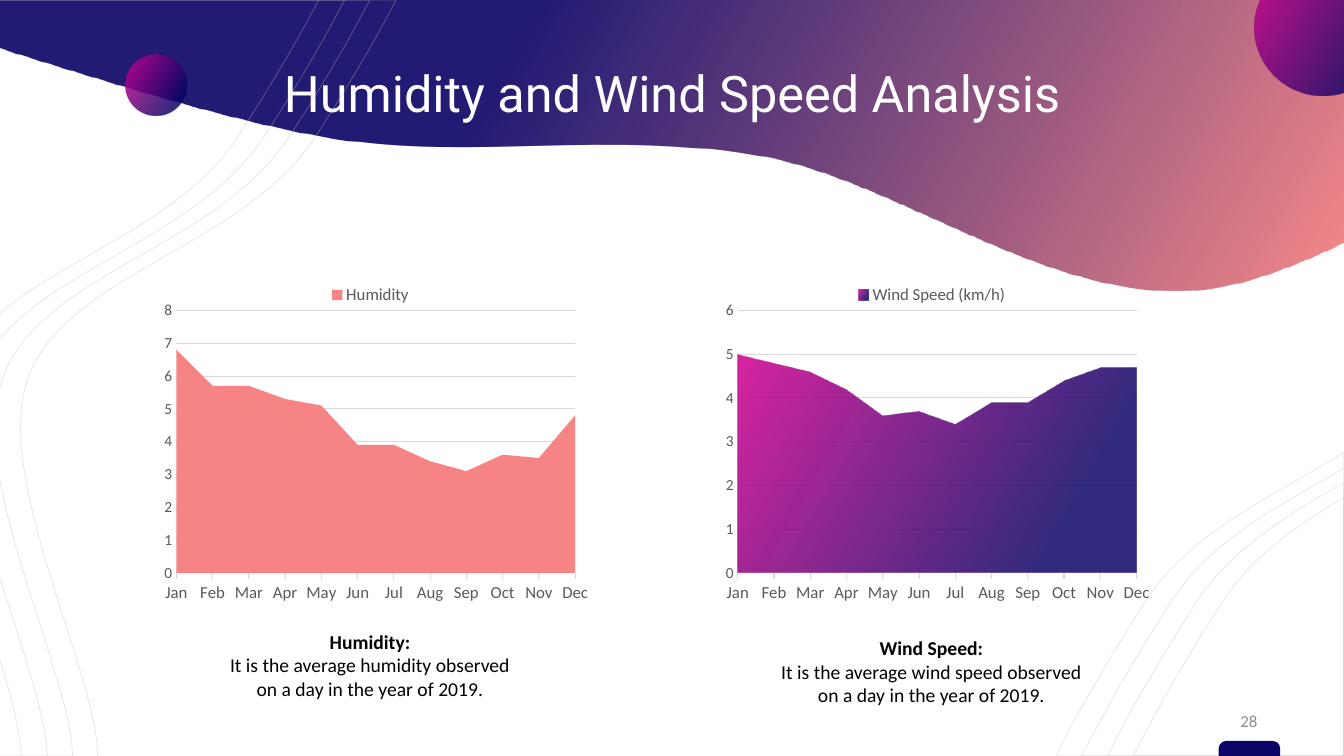
from lxml.etree import SubElement
from pptx import Presentation
from pptx.chart.data import CategoryChartData
from pptx.dml.color import RGBColor
from pptx.enum.chart import XL_CHART_TYPE, XL_LEGEND_POSITION, XL_TICK_MARK
from pptx.enum.shapes import MSO_SHAPE
from pptx.enum.text import MSO_ANCHOR, PP_ALIGN
from pptx.oxml.ns import qn
from pptx.util import Pt

WHITE = RGBColor(0xFF, 0xFF, 0xFF)
BLACK = RGBColor(0, 0, 0)
NAVY = RGBColor(0x0C, 0x04, 0x66)
MAGENTA = RGBColor(0xD3, 0x03, 0x92)
CORAL = RGBColor(0xF7, 0x84, 0x84)
WAVE_GREY = RGBColor(0xBF, 0xBF, 0xBF)
GRID_GREY = RGBColor(0xD9, 0xD9, 0xD9)
AXIS_GREY = RGBColor(0x59, 0x59, 0x59)
NUMBER_GREY = RGBColor(0x8C, 0x8C, 0x8C)

BANNER_STOPS = [(0.36, NAVY, 90), (1, CORAL, 95)]
ACCENT_STOPS = [(0, MAGENTA, 86), (0.81, NAVY, 84)]
MONTHS = "Jan Feb Mar Apr May Jun Jul Aug Sep Oct Nov Dec".split()
HUMIDITY = [6.8, 5.7, 5.7, 5.3, 5.1, 3.9, 3.9, 3.4, 3.1, 3.6, 3.5, 4.8]
WIND_SPEED = [5, 4.8, 4.6, 4.2, 3.6, 3.7, 3.4, 3.9, 3.9, 4.4, 4.7, 4.7]
NO_VALUES = [None] * len(MONTHS)

POINTS_PER_UNIT = 72
BANNER = ("M 0 0 L 13.33 0 L 13.33 2.4 L 13.19 2.47 C 12.81 2.64 12.47 2.77 12.17 2.83 "
          "C 10.57 3.17 8.97 1.78 7.5 1.54 C 6.03 1.3 4.67 1.58 3.33 1.38 "
          "C 2.33 1.22 1.02 0.8 0.15 0.53 L 0 0.48")
RIGHT_WAVES = [
    "M 13.33 4.79 L 13.33 7.5 L 10.99 7.5 L 11.07 7.33 "
    "C 11.35 6.8 11.65 6.32 11.87 5.97 C 12.15 5.54 12.57 5.25 13 4.98",
    "M 13.33 4.94 L 13.33 7.5 L 11.24 7.5 L 11.33 7.33 "
    "C 11.61 6.8 11.9 6.32 12.13 5.97 C 12.4 5.54 12.82 5.25 13.26 4.98",
    "M 13.33 4.49 L 13.33 7.5 L 10.48 7.5 L 10.56 7.33 "
    "C 10.84 6.8 11.14 6.32 11.36 5.97 C 11.77 5.33 12.51 4.98 13.15 4.6",
    "M 13.35 4.63 L 13.35 7.5 L 10.73 7.5 L 10.82 7.33 "
    "C 11.1 6.8 11.39 6.32 11.62 5.97 C 11.98 5.4 12.61 5.06 13.19 4.73",
]
LEFT_WAVES = [
    "M -0.02 5.68 L 0.15 6.2 C 0.31 6.71 0.46 7.18 0.47 7.49 L 0.46 7.52 L -0.02 7.52 "
    "M -0.02 0 L 3.42 0 L 3.22 0.37 C 3.01 0.74 2.8 1.08 2.63 1.34 "
    "C 2.04 2.26 0.76 2.59 0.1 3.25 L -0.02 3.38",
    "M -0.03 6.44 L -0.03 6.45 C 0.1 6.86 0.2 7.23 0.21 7.49 L 0.21 7.52 L -0.03 7.52 "
    "M -0.03 -0.01 L 3.17 -0.01 L 2.96 0.37 C 2.75 0.74 2.54 1.08 2.37 1.34 "
    "C 1.83 2.19 0.69 2.53 0.01 3.1 L -0.03 3.14",
    "M -0.02 0 L 3.93 0 L 3.73 0.37 C 3.52 0.74 3.31 1.08 3.14 1.34 "
    "C 2.41 2.47 0.64 2.71 0.27 3.77 C -0.06 4.74 0.95 6.65 0.97 7.49 L 0.97 7.52 L -0.02 7.52",
    "M -0.03 4.49 L -0.02 4.64 C 0.13 5.63 0.7 6.86 0.72 7.49 L 0.72 7.5 L -0.03 7.5 "
    "M -0.03 0 L 3.67 0 L 3.47 0.37 C 3.26 0.74 3.05 1.08 2.88 1.34 "
    "C 2.16 2.47 0.38 2.71 0.02 3.77 C 0 3.83 -0.02 3.9 -0.03 3.96 L -0.03 3.99",
]


def add_alpha(color, percent):
    """Give a colour element an opacity in percent."""
    SubElement(color, qn("a:alpha")).set("val", str(percent * 1000))


def paint_gradient(fill, properties, stops):
    """Fill with a translucent two-stop gradient running 30 degrees downwards."""
    fill.gradient()
    fill.gradient_angle = 330
    for stop, (position, color, _) in zip(fill.gradient_stops, stops):
        stop.position = position
        stop.color.rgb = color
    gradient = properties.find(qn("a:gradFill"))
    for color, (_, _, alpha) in zip(gradient.iter(qn("a:srgbClr")), stops):
        add_alpha(color, alpha)


def read_contours(outline):
    """Split an outline into contours of points, control points included."""
    contours = []
    for contour in outline.split("M")[1:]:
        numbers = [float(token) * POINTS_PER_UNIT for token in contour.split()
                   if token not in "LC"]
        contours.append(list(zip(numbers[::2], numbers[1::2])))
    return contours


def bend_curves(outline, geometry):
    """Join each three segments that stand for a cubic curve into one."""
    segments = geometry.findall(qn("a:lnTo"))
    for command in (token for token in outline.split() if token in "LC"):
        segment = segments.pop(0)
        if command == "C":
            curve = SubElement(geometry, qn("a:cubicBezTo"))
            segment.addprevious(curve)
            for part in (segment, segments.pop(0), segments.pop(0)):
                curve.append(part[0])
                geometry.remove(part)


def add_outline(page, left, top, outline):
    """Draw an outline as a curved freeform from the given corner."""
    builder = None
    for contour in read_contours(outline):
        start, *others = [(Pt(left + x), Pt(top + y)) for x, y in contour]
        if builder is None:
            builder = page.shapes.build_freeform(*start, scale=1.0)
        else:
            builder.move_to(*start)
        builder.add_line_segments(others, close=True)
    shape = builder.convert_to_shape()
    shape.shadow.inherit = False
    bend_curves(outline, shape._element.find(".//" + qn("a:path")))
    return shape


def add_waves(page, left, top, outlines):
    """Draw a set of thin translucent wave lines."""
    for outline in outlines:
        wave = add_outline(page, left, top, outline)
        wave.fill.background()
        wave.line.color.rgb = WAVE_GREY
        wave.line.width = Pt(0.5)
        add_alpha(wave.line._ln.find(".//" + qn("a:srgbClr")), 40)


def add_banner(page, left, top, height):
    """Draw the gradient banner with its curved lower edge."""
    banner = add_outline(page, left, top, BANNER)
    banner.height = Pt(height)
    banner._element.find(".//" + qn("a:path")).set("h", str(Pt(height)))
    banner.line.fill.background()
    paint_gradient(banner.fill, banner._element.spPr, BANNER_STOPS)


def add_ball(page, left, top, size):
    """Draw a gradient ball."""
    ball = page.shapes.add_shape(MSO_SHAPE.OVAL, Pt(left), Pt(top), Pt(size), Pt(size))
    ball.shadow.inherit = False
    ball.line.fill.background()
    paint_gradient(ball.fill, ball._element.spPr, ACCENT_STOPS)


def add_text(page, left, top, width, height, text, size, color, font="Calibri", inset=None):
    """Place centred text in a box and return its frame."""
    box = page.shapes.add_textbox(Pt(left), Pt(top), Pt(width), Pt(height))
    frame = box.text_frame
    frame.word_wrap = True
    frame.vertical_anchor = MSO_ANCHOR.MIDDLE
    if inset is not None:
        frame.margin_left = frame.margin_right = Pt(inset)
        frame.margin_top = frame.margin_bottom = Pt(inset)
    frame.text = text
    for para in frame.paragraphs:
        para.alignment = PP_ALIGN.CENTER
        for span in para.runs:
            span.font.name, span.font.size = font, Pt(size)
            span.font.color.rgb = color
    return frame


def add_page_number(page, left, top, number):
    """Place the page number above its navy tab."""
    tab = page.shapes.add_shape(MSO_SHAPE.ROUND_2_SAME_RECTANGLE,
                                Pt(left - 5), Pt(top + 28.8), Pt(44), Pt(10.8))
    tab.adjustments[0] = 0.5
    tab.shadow.inherit = False
    tab.fill.solid()
    tab.fill.fore_color.rgb = NAVY
    tab.line.fill.background()
    add_text(page, left, top, 33.1, 28.8, number, 12, NUMBER_GREY)


def style_font(font, size, color):
    """Set a chart font."""
    font.name, font.size = "Calibri", Pt(size)
    font.color.rgb = color


def add_area_panel(page, left, top, series, hidden, maximum, caption, caption_top):
    """Draw an area chart with a caption beneath it."""
    data = CategoryChartData()
    data.categories = MONTHS
    for name, values in series:
        data.add_series(name, values)
    chart = page.shapes.add_chart(XL_CHART_TYPE.AREA, Pt(left), Pt(top),
                                  Pt(344.9), Pt(243.4), data).chart
    style_font(chart.font, 10, BLACK)
    chart.has_title = False
    chart.has_legend = True
    chart.legend.position = XL_LEGEND_POSITION.TOP
    chart.legend.include_in_layout = False
    style_font(chart.legend.font, 12, AXIS_GREY)
    legend = chart.legend._element
    entry = SubElement(legend, qn("c:legendEntry"))
    SubElement(entry, qn("c:idx")).set("val", str(hidden))
    SubElement(entry, qn("c:delete")).set("val", "1")
    legend.find(qn("c:legendPos")).addnext(entry)

    months, values = chart.category_axis, chart.value_axis
    months.has_major_gridlines = False
    months.major_tick_mark = XL_TICK_MARK.OUTSIDE
    style_font(months.tick_labels.font, 12, AXIS_GREY)
    values.minimum_scale, values.maximum_scale, values.major_unit = 0, maximum, 1
    values.major_tick_mark = XL_TICK_MARK.NONE
    values.format.line.fill.background()
    style_font(values.tick_labels.font, 11, AXIS_GREY)
    for line in (months.format.line, values.major_gridlines.format.line):
        line.color.rgb = GRID_GREY
        line.width = Pt(0.75)

    plot = chart.plots[0]
    plot.vary_by_categories = False
    first, second = plot.series
    first.format.fill.solid()
    first.format.fill.fore_color.rgb = CORAL
    paint_gradient(second.format.fill, second._element.get_or_add_spPr(), ACCENT_STOPS)

    area = chart._chartSpace.find(".//" + qn("c:plotArea"))
    for layout in area.findall(qn("c:layout")):
        area.remove(layout)
    layout = SubElement(area, qn("c:layout"))
    area.insert(0, layout)
    manual = SubElement(layout, qn("c:manualLayout"))
    for tag, value in (("layoutTarget", "inner"), ("xMode", "edge"), ("yMode", "edge"),
                       ("x", "0.098"), ("y", "0.108"), ("w", "0.826"), ("h", "0.77")):
        SubElement(manual, qn("c:" + tag)).set("val", value)

    frame = add_text(page, left + 13, top + caption_top, 318.2, 51.1, caption, 14, BLACK, inset=0)
    frame.paragraphs[0].runs[0].font.bold = True


def main():
    """Build the analysis page and save the deck."""
    deck = Presentation()
    deck.slide_width, deck.slide_height = Pt(960), Pt(540)
    page = deck.slides.add_slide(deck.slide_layouts[6])
    add_waves(page, 0, 0, RIGHT_WAVES)
    add_banner(page, 0, 0, 207.4)
    title = add_text(page, 51.1, 35, 858.2, 67, "Humidity and Wind Speed Analysis",
                     36, WHITE, font="Roboto")
    title.paragraphs[0].line_spacing = 0.9
    add_page_number(page, 875.5, 500.4, "28")
    add_ball(page, 896.4, -28.8, 97.2)
    add_ball(page, 89.5, 38.9, 43.4)
    add_waves(page, 0, 0, LEFT_WAVES)
    add_area_panel(page, 92.2, 195.5, [("Humidity", HUMIDITY), ("Series 2", NO_VALUES)], 1, 8,
                   "Humidity:\nIt is the average humidity observed\n"
                   "on a day in the year of 2019.", 253.8)
    add_area_panel(page, 493.2, 195.5,
                   [("Series 1", NO_VALUES), ("Wind Speed (km/h)", WIND_SPEED)], 0, 6,
                   "Wind Speed:\nIt is the average wind speed observed\n"
                   "on a day in the year of 2019.", 258.4)
    deck.save("out.pptx")


if __name__ == "__main__":
    main()
